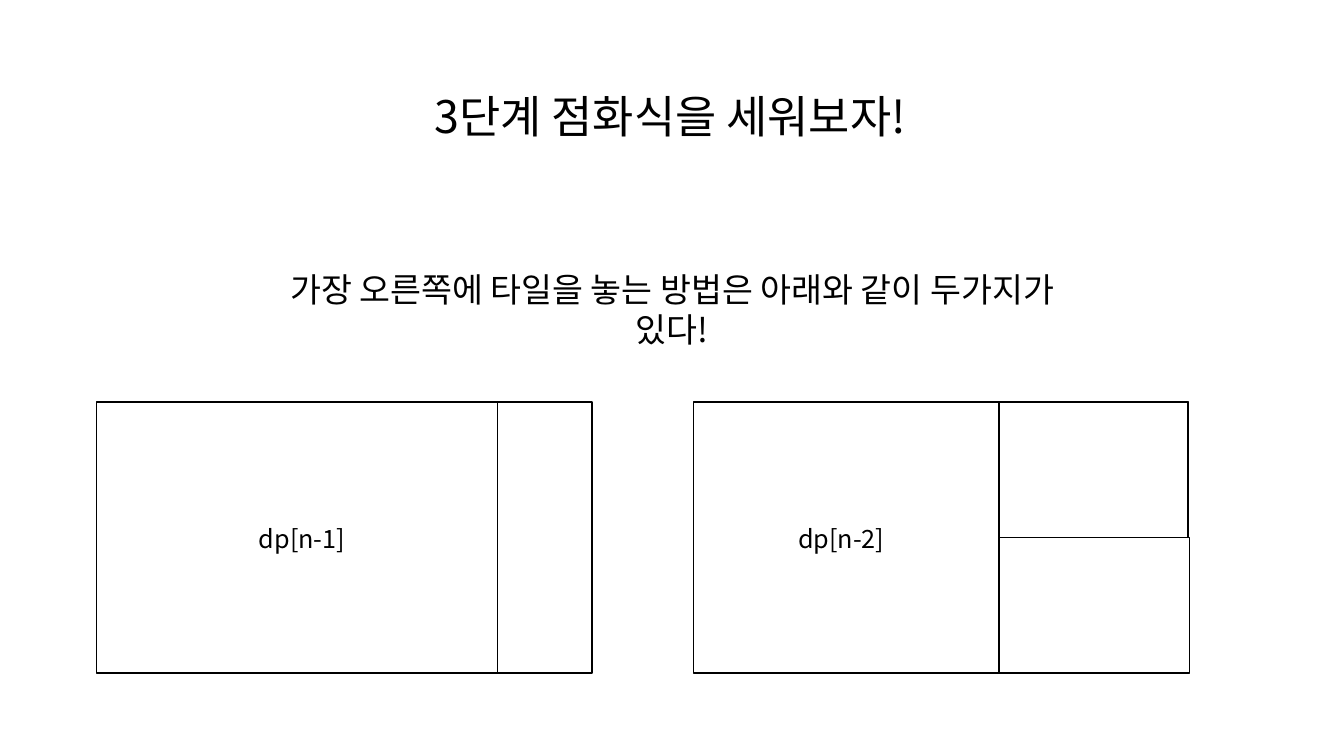
"""Build the slide on the recurrence for tiling a board."""
from lxml.etree import SubElement
from pptx import Presentation
from pptx.dml.color import RGBColor
from pptx.enum.shapes import MSO_SHAPE as Shape
from pptx.enum.text import MSO_ANCHOR as Anchor, MSO_AUTO_SIZE as Fit, PP_ALIGN as Align
from pptx.oxml.ns import qn
from pptx.util import Pt

BLACK = RGBColor(0, 0, 0)
WHITE = RGBColor(255, 255, 255)
FONT = "Noto Sans CJK KR"
TOP, WIDE, HIGH = 287.3, 353.5, 193.5
HALF = HIGH / 2


def place(box, left, top, width, height):
    box.left, box.top = Pt(left), Pt(top)
    box.width, box.height = Pt(width), Pt(height)


def write(box, text, size, align=Align.LEFT, wrap=False):
    frame = box.text_frame
    frame.text = text
    frame.word_wrap = wrap
    frame.auto_size = Fit.SHAPE_TO_FIT_TEXT
    frame.vertical_anchor = Anchor.TOP
    line = frame.paragraphs[0]
    line.alignment = align
    font = line.runs[0].font
    font.name, font.size = FONT, Pt(size)
    font.color.rgb = BLACK
    SubElement(line.runs[0]._r.get_or_add_rPr(), qn("a:ea"), typeface=FONT)


def label(slide, text, size, spot, **style):
    box = slide.shapes.add_textbox(*map(Pt, spot))
    write(box, text, size, **style)


def tile(slide, left, top, width, height):
    rect = slide.shapes.add_shape(
        Shape.RECTANGLE, Pt(left), Pt(top), Pt(width), Pt(height))
    rect.shadow.inherit = False
    rect.fill.solid()
    rect.fill.fore_color.rgb = WHITE
    rect.line.color.rgb = BLACK
    rect.line.width = Pt(1)


def main():
    deck = Presentation()
    deck.slide_width, deck.slide_height = Pt(960), Pt(540)
    slide = deck.slides.add_slide(deck.slide_layouts[5])

    title = slide.shapes.title
    place(title, 303, 59.8, 371, 46)
    write(title, "3단계 점화식을 세워보자!", 32)
    label(slide, "가장 오른쪽에 타일을 놓는 방법은 아래와 같이 두가지가 있다!", 24,
          (175.5, 188.6, 609, 36), align=Align.CENTER, wrap=True)

    tile(slide, 69.1, TOP, WIDE, HIGH)
    tile(slide, 355.4, TOP, 67.5, HIGH)
    tile(slide, 495.3, TOP, WIDE, HIGH)
    tile(slide, 713.6, TOP, 134.8, HIGH)
    tile(slide, 713.6, TOP + HALF, 136, HALF)

    for text, left in (("dp[n-1]", 177.8), ("dp[n-2]", 563)):
        label(slide, text, 18, (left, 370, 94.3, 29))

    deck.save("out.pptx")


if __name__ == "__main__":
    main()
